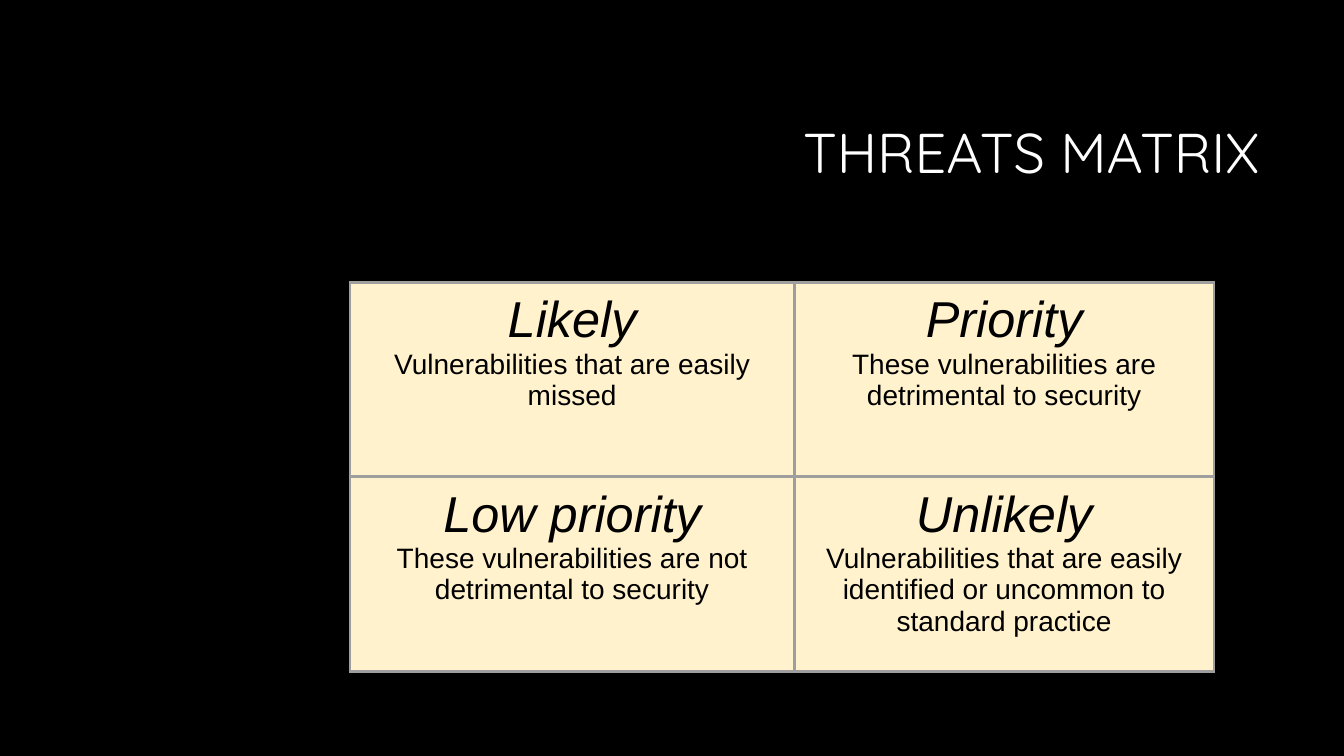
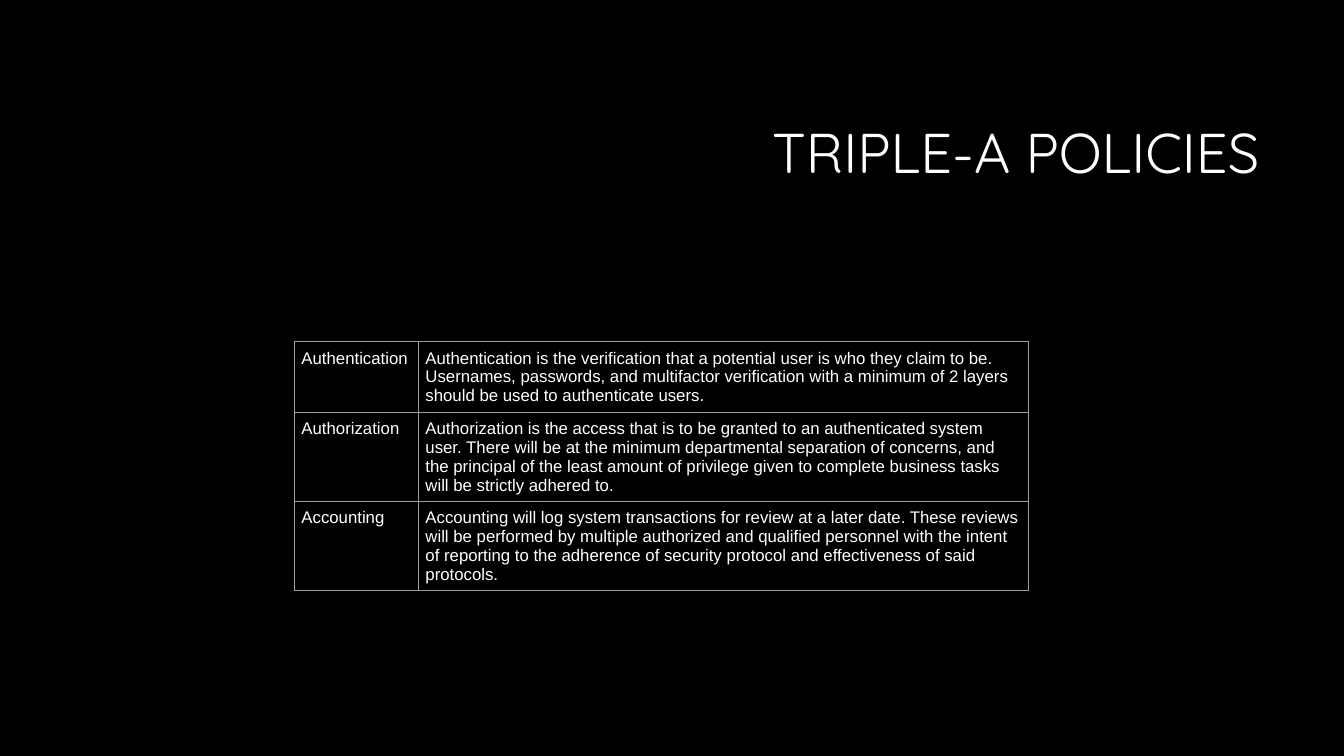
"""Build two security slides: a threats matrix and the triple-A policies."""
from lxml.etree import SubElement
from pptx import Presentation
from pptx.dml.color import RGBColor
from pptx.enum.text import MSO_ANCHOR, PP_ALIGN
from pptx.oxml.ns import qn
from pptx.util import Inches, Pt

COLORS = {"background": "000000", "light": "FFFFFF", "dark": "000000",
          "cream": "FFF2CC", "border": "9E9E9E"}
TITLE_FONT, BODY_FONT = "Quicksand", "Arial"

THREATS = [
    [("Likely", "Vulnerabilities that are easily missed"),
     ("Priority", "These vulnerabilities are detrimental to security")],
    [("Low priority", "These vulnerabilities are not detrimental to security"),
     ("Unlikely", "Vulnerabilities that are easily identified or uncommon to standard practice")],
]
POLICIES = [
    ("Authentication",
     "Authentication is the verification that a potential user is who they claim to be. "
     "Usernames, passwords, and multifactor verification with a minimum of 2 layers "
     "should be used to authenticate users."),
    ("Authorization",
     "Authorization is the access that is to be granted to an authenticated system user. "
     "There will be at the minimum departmental separation of concerns, and the principal "
     "of the least amount of privilege given to complete business tasks will be strictly "
     "adhered to."),
    ("Accounting",
     "Accounting will log system transactions for review at a later date. These reviews "
     "will be performed by multiple authorized and qualified personnel with the intent of "
     "reporting to the adherence of security protocol and effectiveness of said protocols."),
]


def color(name):
    return RGBColor.from_string(COLORS[name])


def style_font(font, family, size, color_name, italic=False):
    font.name, font.size, font.italic = family, Pt(size), italic
    font.color.rgb = color(color_name)


def add_titled_slide(deck, heading):
    slide = deck.slides.add_slide(deck.slide_layouts[5])
    title = slide.shapes.title
    title.left, title.top = Inches(3.17), Inches(0.84)
    title.width, title.height = Inches(9.42), Inches(1.41)
    frame = title.text_frame
    frame.text = heading
    frame.vertical_anchor = MSO_ANCHOR.MIDDLE
    paragraph = frame.paragraphs[0]
    paragraph.alignment, paragraph.line_spacing = PP_ALIGN.RIGHT, 0.9
    style_font(paragraph.runs[0].font, TITLE_FONT, 40, "light")
    return slide


def add_borders(cell, width):
    properties = cell._tc.get_or_add_tcPr()
    for position, side in enumerate(("a:lnL", "a:lnR", "a:lnT", "a:lnB")):
        line = SubElement(properties, qn(side), w=str(Pt(width)))
        SubElement(SubElement(line, qn("a:solidFill")), qn("a:srgbClr"), val=COLORS["border"])
        properties.insert(position, line)


def add_grid(slide, left, top, widths, heights, margin, border, fill=None):
    table = slide.shapes.add_table(
        len(heights), len(widths), Inches(left), Inches(top),
        Inches(sum(widths)), Inches(sum(heights))).table
    table.first_row = table.horz_banding = False
    for column, width in zip(table.columns, widths):
        column.width = Inches(width)
    for row, height in zip(table.rows, heights):
        row.height = Inches(height)
    for cell in table.iter_cells():
        cell.margin_left = cell.margin_right = Inches(margin)
        cell.margin_top = cell.margin_bottom = Inches(margin)
        if fill:
            cell.fill.solid()
            cell.fill.fore_color.rgb = color(fill)
        else:
            cell.fill.background()
        add_borders(cell, border)
    return table


def fill_cell(cell, texts, styles, alignment):
    cell.text_frame.text = "\n".join(texts)
    for paragraph, style in zip(cell.text_frame.paragraphs, styles):
        paragraph.alignment = alignment
        style_font(paragraph.runs[0].font, BODY_FONT, *style)


def build_threats(deck):
    slide = add_titled_slide(deck, "THREATS MATRIX")
    matrix = add_grid(slide, 3.47, 2.8, [4.41, 4.16], [1.93] * 2, 0.1, 2.25, "cream")
    styles = [(36, "dark", True), (20, "dark")]
    for r, threats in enumerate(THREATS):
        for c, threat in enumerate(threats):
            fill_cell(matrix.cell(r, c), threat, styles, PP_ALIGN.CENTER)


def build_policies(deck):
    slide = add_titled_slide(deck, "TRIPLE-A POLICIES")
    policies = add_grid(slide, 2.92, 3.39, [1.23, 6.05], [0.7, 0.88, 0.88], 0.07, 0.75)
    for r, policy in enumerate(POLICIES):
        for c, text in enumerate(policy):
            fill_cell(policies.cell(r, c), [text], [(12, "light")], PP_ALIGN.LEFT)


def main():
    deck = Presentation()
    deck.slide_width, deck.slide_height = Inches(13.33), Inches(7.5)
    backdrop = deck.slide_master.background.fill
    backdrop.solid()
    backdrop.fore_color.rgb = color("background")
    build_threats(deck)
    build_policies(deck)
    deck.save("out.pptx")


if __name__ == "__main__":
    main()
